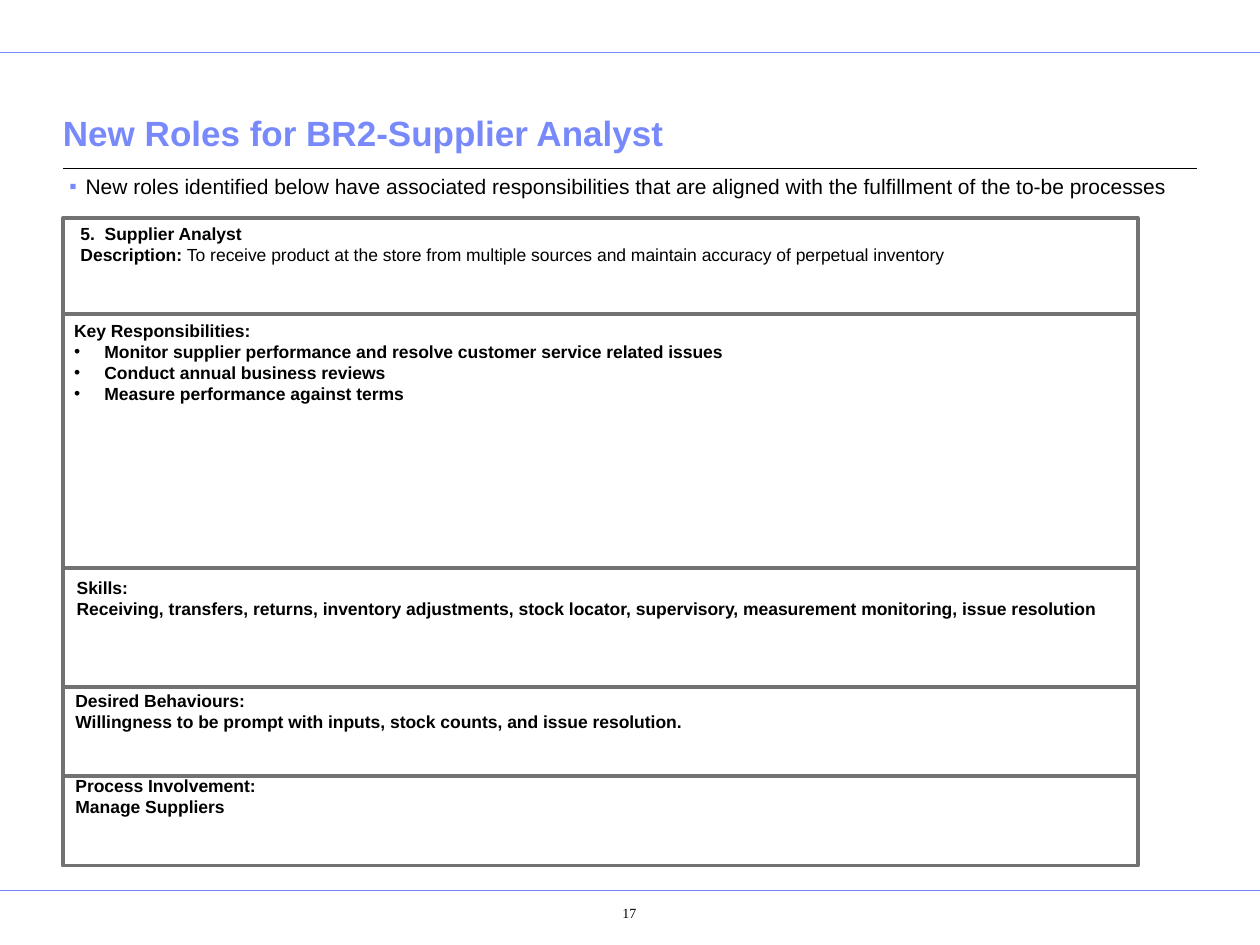
from dataclasses import dataclass
from itertools import accumulate

from lxml import etree
from pptx import Presentation
from pptx.dml.color import RGBColor
from pptx.enum.shapes import MSO_CONNECTOR, MSO_SHAPE
from pptx.enum.text import MSO_ANCHOR, PP_ALIGN
from pptx.oxml.ns import qn
from pptx.util import Inches, Pt

STRAIGHT = MSO_CONNECTOR.STRAIGHT
RECTANGLE = MSO_SHAPE.RECTANGLE
TOP, BOTTOM = MSO_ANCHOR.TOP, MSO_ANCHOR.BOTTOM
CENTER = PP_ALIGN.CENTER

COLORS = {"accent": "7889FB", "text": "000000", "frame": "727272"}

# The grid has 100 columns and 75 rows, each a tenth of an inch.
COLUMNS, ROWS = 100, 75
CELL = Inches(0.1)
MARGIN = 5
PANEL_WIDTH = 85.3
PANEL_TOP = 17.3


@dataclass
class Span:
    text: str
    bold: bool = True


@dataclass
class Line:
    spans: list[Span]
    bullet: str = ""
    indent: float = 0
    bullet_color: str = "text"


@dataclass
class Style:
    size: float = 10
    font: str = "Arial"
    color: str = "text"


@dataclass
class Rule:
    left: float
    right: float
    row: float
    color: str
    width: float


@dataclass
class Panel:
    """A framed section; the text place is given in grid cells."""
    height: float
    text_left: float
    text_top: float
    text_width: float
    text_height: float
    lines: list[Line]
    wrap: bool = True


def heading(text: str) -> Line:
    return Line([Span(text)])


def duty(text: str) -> Line:
    return Line([Span(text)], "•", 0.24)


RULES = [
    Rule(0, COLUMNS, 4.2, "accent", 0.5),
    Rule(0, COLUMNS, 70.7, "accent", 0.5),
    Rule(MARGIN, COLUMNS - MARGIN, 13.4, "text", 0.75),
]

PANELS = [
    Panel(7.6, 5.4, 17.2, 76.5, 4.4, [
        heading("5.  Supplier Analyst"),
        Line([Span("Description: "),
              Span("To receive product at the store from multiple sources and "
                   "maintain accuracy of perpetual inventory", False)])]),
    Panel(20.2, 4.9, 24.9, 85.4, 7.7, [
        heading("Key Responsibilities:"),
        duty("Monitor supplier performance and resolve customer service related issues"),
        duty("Conduct annual business reviews"),
        duty("Measure performance against terms")]),
    Panel(9.4, 5.1, 45.3, 85.2, 4.4, [
        heading("Skills:"),
        heading("Receiving, transfers, returns, inventory adjustments, stock locator, "
                "supervisory, measurement monitoring, issue resolution")]),
    Panel(7.1, 5, 54.3, 50.1, 4.4, [
        heading("Desired Behaviours:"),
        heading("Willingness to be prompt with inputs, stock counts, and issue resolution.")],
        wrap=False),
    Panel(7.1, 5, 61, 85.2, 4.4, [
        heading("Process Involvement:"),
        heading("Manage Suppliers")]),
]


def cells(*counts: float) -> list[int]:
    return [round(count * CELL) for count in counts]


def color(name: str) -> RGBColor:
    return RGBColor.from_string(COLORS[name])


def add_bullet(para, line: Line) -> None:
    props = para._p.get_or_add_pPr()
    props.set("marL", str(Inches(line.indent)))
    props.set("indent", str(-Inches(line.indent)))
    tint = etree.SubElement(props, qn("a:buClr"))
    etree.SubElement(tint, qn("a:srgbClr"), val=COLORS[line.bullet_color])
    etree.SubElement(props, qn("a:buFont"), typeface="Arial")
    etree.SubElement(props, qn("a:buChar"), char=line.bullet)


def add_text(slide, place: tuple, lines: list[Line], style: Style,
             insets: tuple = (0.1, 0.05, 0.1, 0.05), anchor=TOP, wrap: bool = True):
    frame = slide.shapes.add_textbox(*cells(*place)).text_frame
    frame.word_wrap = wrap
    frame.vertical_anchor = anchor
    (frame.margin_left, frame.margin_top,
     frame.margin_right, frame.margin_bottom) = map(Inches, insets)
    for index, line in enumerate(lines):
        para = frame.add_paragraph() if index else frame.paragraphs[0]
        if line.bullet:
            add_bullet(para, line)
        for span in line.spans:
            run = para.add_run()
            run.text = span.text
            run.font.name = style.font
            run.font.size = Pt(style.size)
            run.font.bold = span.bold
            run.font.color.rgb = color(style.color)
    return frame


def add_rule(slide, rule: Rule) -> None:
    connector = slide.shapes.add_connector(
        STRAIGHT, *cells(rule.left, rule.row, rule.right, rule.row))
    connector.line.color.rgb = color(rule.color)
    connector.line.width = Pt(rule.width)
    etree.SubElement(connector._element.spPr, qn("a:effectLst"))


def add_panel(slide, panel: Panel, top: float) -> None:
    box = slide.shapes.add_shape(
        RECTANGLE, *cells(MARGIN, top, PANEL_WIDTH, panel.height))
    box.shadow.inherit = False
    box.fill.background()
    box.line.color.rgb = color("frame")
    box.line.width = Pt(2.25)
    place = (panel.text_left, panel.text_top, panel.text_width, panel.text_height)
    add_text(slide, place, panel.lines, Style(), wrap=panel.wrap)


def main() -> None:
    deck = Presentation()
    deck.slide_width, deck.slide_height = cells(COLUMNS, ROWS)
    slide = deck.slides.add_slide(deck.slide_layouts[6])

    for rule in RULES:
        add_rule(slide, rule)

    content_width = COLUMNS - 2 * MARGIN
    add_text(slide, (MARGIN, 6.4, content_width, 6.3),
             [heading("New Roles for BR2-Supplier Analyst")],
             Style(20, color="accent"), (0, 0.05, 0, 0.05), BOTTOM)
    intro = Line([Span("New roles identified below have associated responsibilities that "
                       "are aligned with the fulfillment of the to-be processes", False)],
                 "▪", 0.13, "accent")
    body = add_text(slide, (MARGIN, 13.2, content_width, 55.1), [intro],
                    Style(12), (0.05, 0.05, 0.05, 0.05))
    body.paragraphs[0].line_spacing = 1.04

    tops = accumulate((panel.height for panel in PANELS), initial=PANEL_TOP)
    for panel, top in zip(PANELS, tops):
        add_panel(slide, panel, top)

    number = add_text(slide, (42.7, 71.1, 11.5, 3.5), [Line([Span("17", False)])],
                      Style(8, "Times New Roman"), (0.4, 0.07, 0.1, 0.05))
    number.paragraphs[0].alignment = CENTER

    deck.save("out.pptx")


if __name__ == "__main__":
    main()
